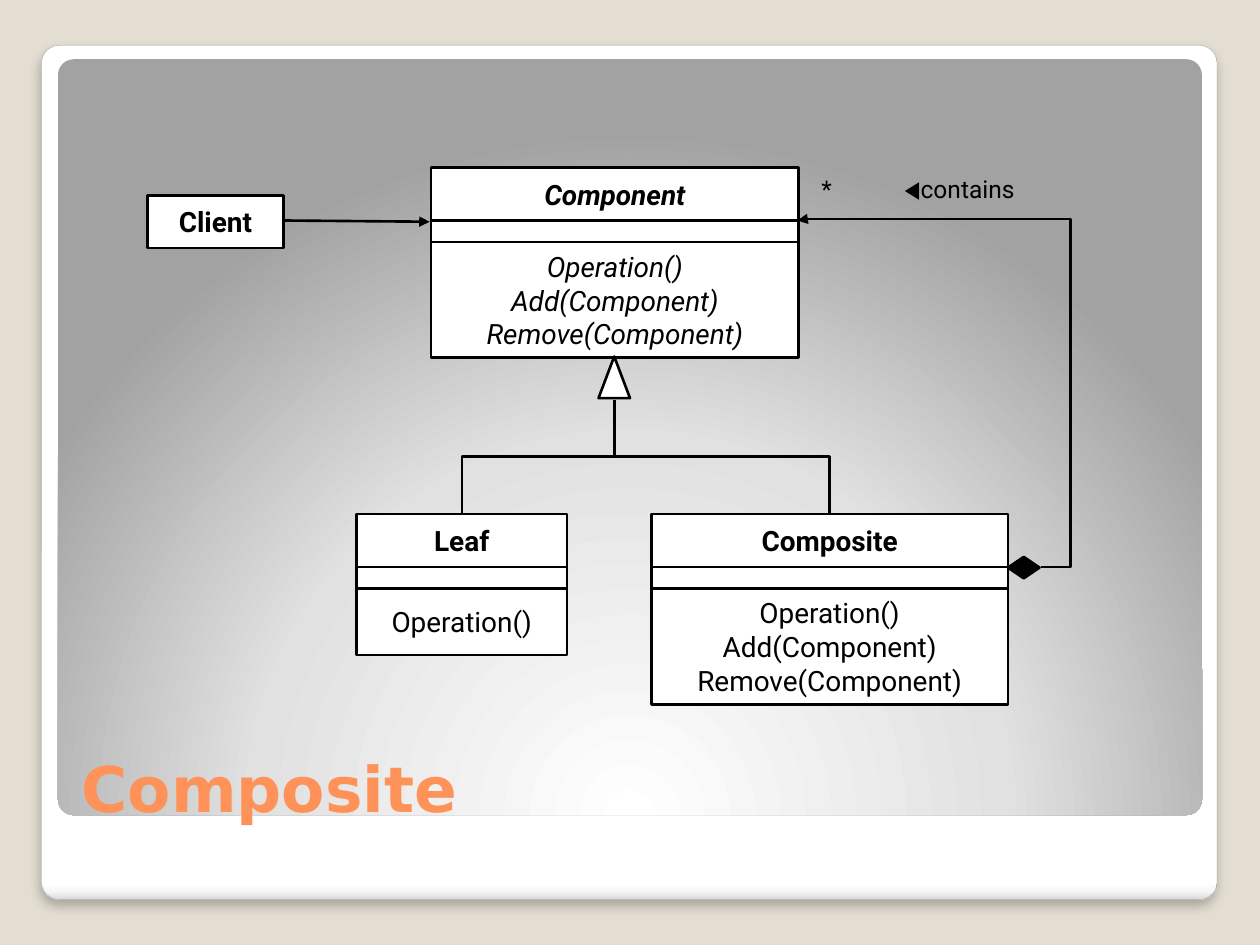
"""Build a slide with the UML class diagram of the Composite pattern."""
from dataclasses import dataclass

from pptx import Presentation
from pptx.dml.color import RGBColor
from pptx.enum.shapes import MSO_CONNECTOR, MSO_SHAPE
from pptx.enum.text import MSO_ANCHOR, PP_ALIGN
from pptx.oxml import parse_xml
from pptx.oxml.ns import nsdecls, qn
from pptx.util import Inches, Pt

BLACK = RGBColor(0x00, 0x00, 0x00)
WHITE = RGBColor(0xFF, 0xFF, 0xFF)
ORANGE = RGBColor(0xFF, 0x92, 0x58)
BEIGE = RGBColor(0xE3, 0xDE, 0xD1)
EDGE = RGBColor(0xA4, 0xA4, 0xA4)
OFF_WHITE = RGBColor(0xF7, 0xF7, 0xF7)
SILVER = RGBColor(0xDA, 0xDA, 0xDA)
LIGHT = RGBColor(0xE1, 0xE1, 0xE1)
GRAY = RGBColor(0xA2, 0xA2, 0xA2)

NAME_H = 0.42
ATTR_H = 0.17
LINEAR = '<a:lin ang="5400000" scaled="0"/>'
RADIAL = ('<a:path path="circle"><a:fillToRect l="50000" t="175000" '
          'r="50000" b="-75000"/></a:path>')


@dataclass
class UmlClass:
    name: str
    left: float
    top: float
    width: float
    ops: tuple[str, ...] = ()
    ops_h: float = 0
    abstract: bool = False


@dataclass
class Link:
    left: float
    top: float
    width: float
    height: float
    kind: str
    rot: int = 0
    flip: str = ""
    adj: tuple[int, ...] = ()
    arrow: bool = False


@dataclass
class Label:
    text: str
    left: float
    top: float
    width: float
    height: float
    size: int = 14
    font: str = "Roboto"
    color: RGBColor = BLACK
    bold: bool = False
    anchor: MSO_ANCHOR = MSO_ANCHOR.TOP


CLASSES = (
    UmlClass("Client", 1.17, 1.55, 1.08),
    UmlClass("Component", 3.42, 1.33, 2.92,
             ("Operation()", "Add(Component)", "Remove(Component)"), 0.92, True),
    UmlClass("Leaf", 2.83, 4.08, 1.67, ("Operation()",), 0.53),
    UmlClass("Composite", 5.17, 4.08, 2.83,
             ("Operation()", "Add(Component)", "Remove(Component)"), 0.92),
)
LINKS = (
    Link(2.25, 1.75, 1.16, 0.01, "line", arrow=True),
    Link(3.82, 3.02, 0.9, 1.21, "bentConnector3", 90, adj=(50000,)),
    Link(5.28, 2.77, 0.9, 1.71, "bentConnector3", 270, "h", (50000,)),
    Link(6.33, 1.75, 1.93, 2.75, "bentConnector4", 0, "hv", (-12400, 100400), True),
)
LABELS = (
    Label("\u25c0contains", 7.08, 1.33, 1.42, 0.33),
    Label("*", 6.42, 1.33, 0.35, 0.33),
    Label("Composite", 0.55, 5.45, 8.95, 1.15, 36, "DejaVu Sans", ORANGE, True,
          MSO_ANCHOR.BOTTOM),
)


def add_box(s, kind: MSO_SHAPE, left: float, top: float, width: float,
            height: float, fill: RGBColor = WHITE):
    sp = s.shapes.add_shape(kind, Inches(left), Inches(top), Inches(width), Inches(height))
    sp.shadow.inherit = False
    sp.fill.solid()
    sp.fill.fore_color.rgb = fill
    sp.line.color.rgb = BLACK
    sp.line.width = Pt(1.5)
    return sp


def set_gradient(sp, stops: tuple[tuple[int, RGBColor], ...], shade: str) -> None:
    sp.fill.gradient()
    grad = sp.element.spPr.find(qn("a:gradFill"))
    gs = "".join(f'<a:gs pos="{pos * 1000}"><a:srgbClr val="{color}"/></a:gs>'
                 for pos, color in stops)
    sp.element.spPr.replace(grad, parse_xml(
        f'<a:gradFill {nsdecls("a")} rotWithShape="1"><a:gsLst>{gs}</a:gsLst>{shade}</a:gradFill>'))


def add_frame(s) -> None:
    card = add_box(s, MSO_SHAPE.ROUNDED_RECTANGLE, 0.33, 0.36, 9.33, 6.78)
    set_gradient(card, ((0, WHITE), (98, WHITE), (99, OFF_WHITE), (100, SILVER)), LINEAR)
    card.line.color.rgb = EDGE
    card.line.width = Pt(0.16)
    card.element.spPr.find(qn("a:effectLst")).append(parse_xml(
        f'<a:outerShdw {nsdecls("a")} blurRad="{Pt(6)}" dist="{Pt(4)}" dir="5400000" '
        f'algn="tl" rotWithShape="0"><a:srgbClr val="{BLACK}">'
        '<a:alpha val="25000"/></a:srgbClr></a:outerShdw>'))
    panel = add_box(s, MSO_SHAPE.ROUNDED_RECTANGLE, 0.46, 0.47, 9.08, 6)
    set_gradient(panel, ((0, WHITE), (55, LIGHT), (100, GRAY)), RADIAL)
    panel.line.fill.background()
    for sp in (card, panel):
        sp.adjustments[0] = 0.021


def write_lines(sp, lines: tuple[str, ...], bold: bool, italic: bool) -> None:
    tf = sp.text_frame
    tf.word_wrap = False
    tf.vertical_anchor = MSO_ANCHOR.MIDDLE
    tf.text = "\n".join(lines)
    for p in tf.paragraphs:
        p.alignment = PP_ALIGN.CENTER
        p.font.size = Pt(16)
        p.font.name = "Roboto"
        p.font.color.rgb = BLACK
        p.font.bold = bold
        p.font.italic = italic


def add_class(s, c: UmlClass) -> None:
    header = add_box(s, MSO_SHAPE.RECTANGLE, c.left, c.top, c.width, NAME_H)
    write_lines(header, (c.name,), True, c.abstract)
    if c.ops:
        attr_top = c.top + NAME_H
        add_box(s, MSO_SHAPE.RECTANGLE, c.left, attr_top, c.width, ATTR_H)
        body = add_box(s, MSO_SHAPE.RECTANGLE, c.left, attr_top + ATTR_H, c.width, c.ops_h)
        write_lines(body, c.ops, False, c.abstract)


def add_link(s, link: Link) -> None:
    kind = MSO_CONNECTOR.STRAIGHT if link.kind == "line" else MSO_CONNECTOR.ELBOW
    cx = s.shapes.add_connector(kind, Inches(link.left), Inches(link.top),
                                Inches(link.left + link.width), Inches(link.top + link.height))
    cx.line.color.rgb = BLACK
    cx.line.width = Pt(1.5)
    spPr = cx.element.spPr
    xfrm = spPr.find(qn("a:xfrm"))
    xfrm.set("rot", str(link.rot * 60000))
    for axis in link.flip:
        xfrm.set(f"flip{axis.upper()}", "1")
    guides = "".join(f'<a:gd name="adj{i}" fmla="val {val}"/>'
                     for i, val in enumerate(link.adj, 1))
    spPr.replace(spPr.find(qn("a:prstGeom")), parse_xml(
        f'<a:prstGeom {nsdecls("a")} prst="{link.kind}"><a:avLst>{guides}</a:avLst></a:prstGeom>'))
    if link.arrow:
        spPr.find(qn("a:ln")).append(parse_xml(f'<a:tailEnd {nsdecls("a")} type="triangle"/>'))
    spPr.append(parse_xml(f'<a:effectLst {nsdecls("a")}/>'))


def add_label(s, label: Label) -> None:
    tb = s.shapes.add_textbox(Inches(label.left), Inches(label.top),
                              Inches(label.width), Inches(label.height))
    tf = tb.text_frame
    tf.word_wrap = True
    tf.vertical_anchor = label.anchor
    p = tf.paragraphs[0]
    p.text = label.text
    p.font.size = Pt(label.size)
    p.font.name = label.font
    p.font.bold = label.bold
    p.font.color.rgb = label.color


prs = Presentation()
prs.slide_width, prs.slide_height = Inches(10), Inches(7.5)
s = prs.slides.add_slide(prs.slide_layouts[6])
s.background.fill.solid()
s.background.fill.fore_color.rgb = BEIGE
add_frame(s)
for c in CLASSES:
    add_class(s, c)
for link in LINKS:
    add_link(s, link)
add_box(s, MSO_SHAPE.ISOSCELES_TRIANGLE, 4.75, 2.83, 0.25, 0.33)
add_box(s, MSO_SHAPE.FLOWCHART_DECISION, 8, 4.42, 0.25, 0.17, BLACK)
for label in LABELS:
    add_label(s, label)
prs.save("out.pptx")
